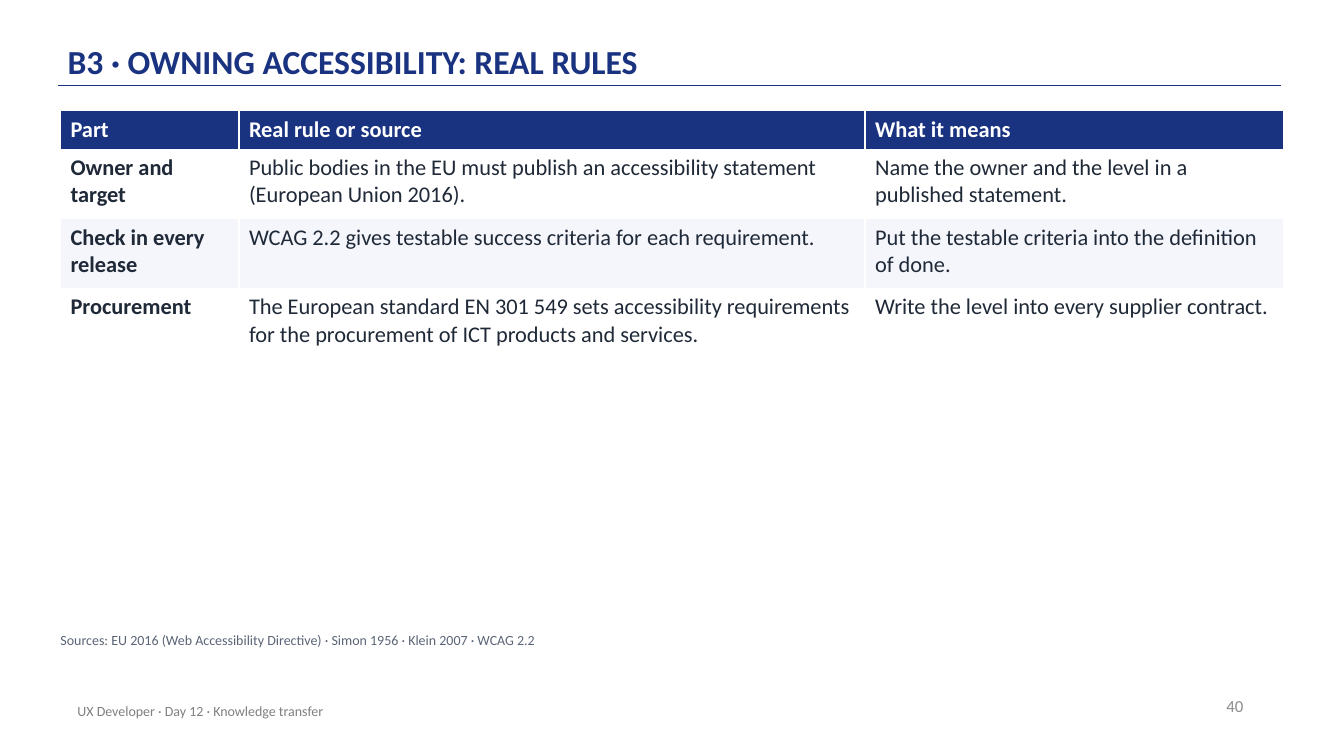
from lxml import etree
from pptx import Presentation
from pptx import util as u
from pptx.dml.color import RGBColor
from pptx.enum import shapes, text
from pptx.oxml import ns

NAVY = RGBColor(0x1A, 0x33, 0x81)
INK = RGBColor(0x1F, 0x29, 0x37)
SLATE = RGBColor(0x5B, 0x65, 0x77)
FOOTER_GREY = RGBColor(0x80, 0x80, 0x80)
NUMBER_GREY = RGBColor(0x8C, 0x8C, 0x8C)
WHITE = RGBColor(0xFF, 0xFF, 0xFF)
BAND = RGBColor(0xF4, 0xF6, 0xFB)

COLUMN_WIDTHS = (1.77, 6.21, 4.15)
ROW_HEIGHTS = (0.38, 0.69, 0.69, 0.96)
RULES = (
    ("Part", "Real rule or source", "What it means"),
    ("Owner and target",
     "Public bodies in the EU must publish an accessibility statement (European Union 2016).",
     "Name the owner and the level in a published statement."),
    ("Check in every release",
     "WCAG 2.2 gives testable success criteria for each requirement.",
     "Put the testable criteria into the definition of done."),
    ("Procurement",
     "The European standard EN 301 549 sets accessibility requirements for the "
     "procurement of ICT products and services.",
     "Write the level into every supplier contract."),
)


def inches(*lengths):
    return [u.Inches(length) for length in lengths]


def format_text(frame, size, color, bold=False):
    for para in frame.paragraphs:
        for span in para.runs:
            span.font.name = "Calibri"
            span.font.size = u.Pt(size)
            span.font.bold = bold
            span.font.color.rgb = color


def set_margins(frame, side, end):
    frame.margin_left = frame.margin_right = u.Inches(side)
    frame.margin_top = frame.margin_bottom = u.Inches(end)


def add_heading(page, left, top, width, height):
    title = page.shapes.title
    title.left, title.top, title.width, title.height = inches(left, top, width, height)
    frame = title.text_frame
    frame.text = "B3 · OWNING ACCESSIBILITY: REAL RULES"
    frame.word_wrap = True
    frame.auto_size = text.MSO_AUTO_SIZE.NONE
    frame.vertical_anchor = text.MSO_ANCHOR.BOTTOM
    set_margins(frame, 0, 0.03)
    frame.paragraphs[0].alignment = text.PP_ALIGN.LEFT
    frame.paragraphs[0].line_spacing = 0.9
    format_text(frame, 24, NAVY, bold=True)


def add_title_rule(page, left, right, level):
    rule = page.shapes.add_connector(
        shapes.MSO_CONNECTOR.STRAIGHT, *inches(right, level, left, level))
    rule.line.color.rgb = NAVY
    rule.line.width = u.Pt(1)
    properties = rule._element.find(ns.qn("p:spPr"))
    etree.SubElement(properties, ns.qn("a:effectLst"))


def add_rules_table(page, left, top):
    table = page.shapes.add_table(
        len(RULES), len(COLUMN_WIDTHS),
        *inches(left, top, sum(COLUMN_WIDTHS), sum(ROW_HEIGHTS))).table
    for column, width in zip(table.columns, COLUMN_WIDTHS):
        column.width = u.Inches(width)
    for row, height in zip(table.rows, ROW_HEIGHTS):
        row.height = u.Inches(height)
    for row_index, wording in enumerate(RULES):
        header = row_index == 0
        fill = NAVY if header else (WHITE if row_index % 2 else BAND)
        for column_index, words in enumerate(wording):
            cell = table.cell(row_index, column_index)
            cell.text_frame.text = words
            cell.fill.solid()
            cell.fill.fore_color.rgb = fill
            format_text(cell.text_frame, 16, WHITE if header else INK,
                        bold=header or column_index == 0)


def add_note(page, words, area, size, color, align=text.PP_ALIGN.LEFT):
    frame = page.shapes.add_textbox(*inches(*area)).text_frame
    frame.text = words
    frame.word_wrap = True
    frame.vertical_anchor = text.MSO_ANCHOR.MIDDLE
    frame.paragraphs[0].alignment = align
    format_text(frame, size, color)
    return frame


def add_sources(page, area):
    frame = add_note(
        page, "Sources: EU 2016 (Web Accessibility Directive) · Simon 1956 · Klein 2007 · WCAG 2.2",
        area, 10, SLATE)
    set_margins(frame, 0, 0)
    frame.vertical_anchor = text.MSO_ANCHOR.TOP
    frame.auto_size = text.MSO_AUTO_SIZE.SHAPE_TO_FIT_TEXT
    frame.paragraphs[0].space_after = u.Pt(6)


def add_footer(page):
    add_note(page, "40", (9.43, 6.8, 3, 0.4), 12, NUMBER_GREY, text.PP_ALIGN.RIGHT)
    add_note(page, "UX Developer · Day 12 · Knowledge transfer",
             (0.67, 6.85, 6.7, 0.4), 10, FOOTER_GREY)


def main():
    deck = Presentation()
    deck.slide_width, deck.slide_height = inches(13.33, 7.5)
    page = deck.slides.add_slide(deck.slide_layouts.get_by_name("Title Only"))
    add_title_rule(page, 0.58, 12.71, 0.85)
    add_heading(page, 0.67, 0.12, 11, 0.72)
    add_footer(page)
    add_rules_table(page, 0.6, 1.1)
    add_sources(page, (0.6, 6.27, 12.1, 0.3))
    deck.save("out.pptx")


if __name__ == "__main__":
    main()
